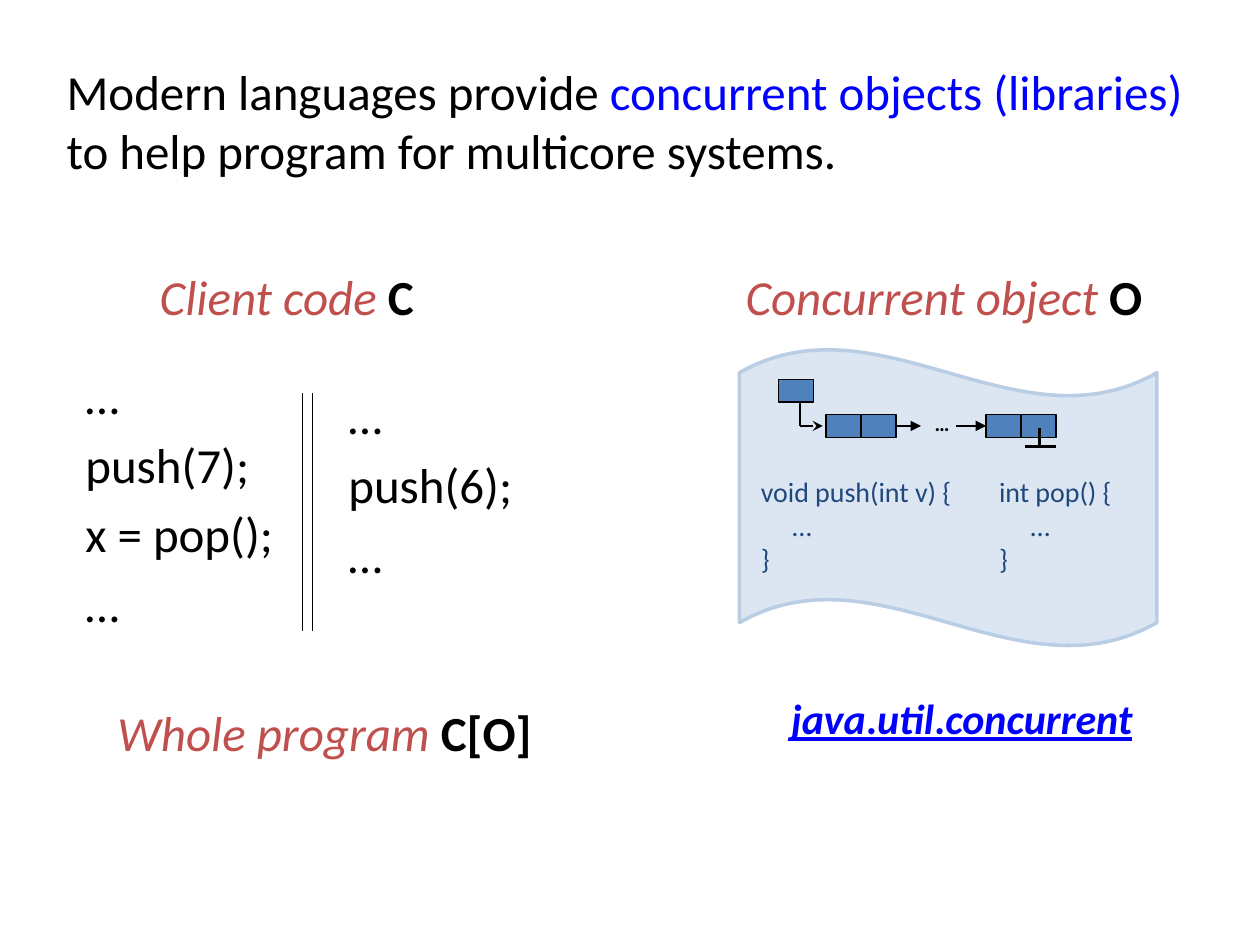
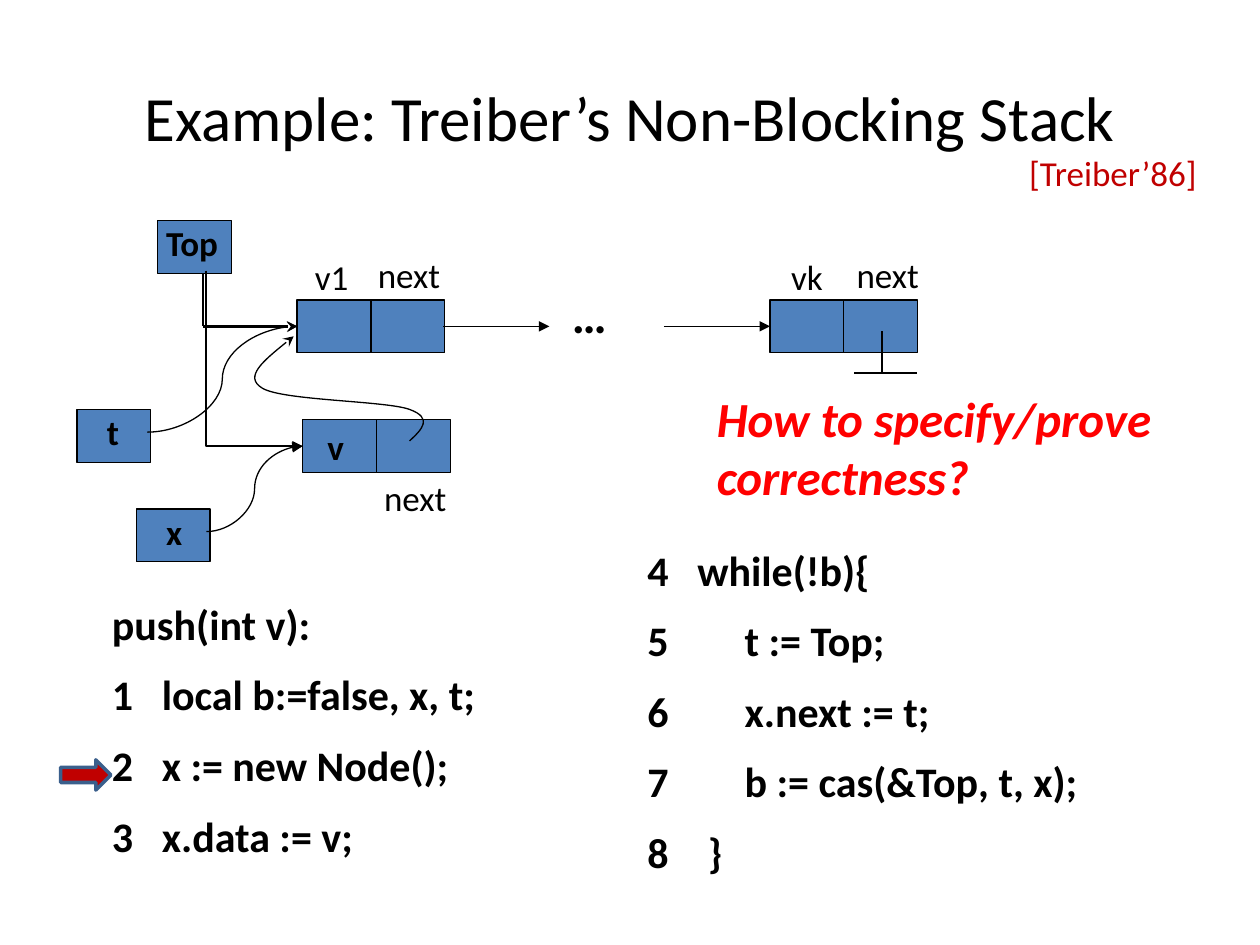
from pptx import Presentation
from pptx.dml.color import RGBColor
from pptx.enum.shapes import MSO_CONNECTOR as CONNECTOR, MSO_SHAPE as SHAPE
from pptx.enum.text import MSO_ANCHOR as ANCHOR, PP_ALIGN as ALIGN
from pptx.oxml.ns import qn
from pptx.util import Pt
from lxml.etree import SubElement

FONT = "Calibri"
BLACK, BLUE, LABEL_RED = "000000", "0000FF", "C0504D"
NODE_BLUE, CODE_BLUE = "4F81BD", "1F497D"
DARK_RED, BRIGHT_RED = "C00000", "FF0000"
WAVE_FILL, WAVE_LINE, ARROW_LINE = "DCE6F2", "B9CDE5", "3A5F8C"
rgb = RGBColor.from_string


def write(slide, box, texts, size, color=BLACK, bold=False, italic=False,
          space=0, margins=()):
    """Add a text box, one paragraph per text; a tab jumps to its margin."""
    frame = slide.shapes.add_textbox(*map(Pt, box)).text_frame
    frame.word_wrap = True
    for index, text in enumerate(texts):
        paragraph = frame.paragraphs[0] if index == 0 else frame.add_paragraph()
        paragraph.add_run().text = text
        paragraph.space_before = Pt(space)
        font = paragraph.font
        font.name, font.size = FONT, Pt(size)
        font.bold, font.italic = bold, italic
        font.color.rgb = rgb(color)
        if margins and margins[index]:
            properties = paragraph._p.get_or_add_pPr()
            margin = Pt(margins[index])
            properties.set("marL", str(margin))
            properties.set("indent", str(-margin if "\t" in text else 0))
    return frame


def style(shape, width=0.75, color=BLACK, fill=None, head=None):
    """Set fill, line and arrowhead of a shape or connector, without shadow."""
    if fill:
        shape.fill.solid()
        shape.fill.fore_color.rgb = rgb(fill)
    shape.line.color.rgb = rgb(color)
    shape.line.width = Pt(width)
    properties = shape._element.spPr
    if head:
        SubElement(properties.find(qn("a:ln")), qn("a:tailEnd"), type=head)
    SubElement(properties, qn("a:effectLst"))


presentation = Presentation()
presentation.slide_width, presentation.slide_height = Pt(720), Pt(540)
blank = presentation.slide_layouts[6]

# Slide 1: client code and concurrent object
slide = presentation.slides.add_slide(blank)
frame = write(slide, (31, 31.7, 675, 75),
              ["Modern languages provide ", "to help program for multicore systems."], 28)
run = frame.paragraphs[0].add_run()
run.text = "concurrent objects (libraries)"
run.font.color.rgb = rgb(BLUE)

for left, top, width, label, symbol in [
    (84.2, 149, 170, "Client code ", "C"),
    (419, 149, 260, "Concurrent object ", "O"),
    (60, 398, 260, "Whole program ", "C[O]"),
]:
    frame = write(slide, (left, top, width, 42), [label], 28, LABEL_RED, italic=True)
    run = frame.paragraphs[0].add_run()
    run.text = symbol
    run.font.bold, run.font.italic = True, False
    run.font.color.rgb = rgb(BLACK)

write(slide, (41.7, 205.2, 130, 161), ["…", "push(7);", "x = pop();", "…"], 28, space=6)
write(slide, (192, 216.7, 120, 121), ["…", "push(6);", "…"], 28, space=6)

wave = slide.shapes.add_shape(SHAPE.WAVE, Pt(422.6), Pt(199.4), Pt(238.5), Pt(170))
wave.adjustments[0] = 0.08
style(wave, 2, WAVE_LINE, WAVE_FILL)
for left, width, signature in [(427.7, 132, "void push(int v) {"),
                               (563.8, 90, "int pop() {")]:
    write(slide, (left, 267.8, width, 66), [signature, "…", "}"], 16, CODE_BLUE,
          margins=(0, 18, 0))

for left, top in [(445, 216.7), (472, 236.9), (492, 236.9), (563.5, 236.9), (583.5, 236.9)]:
    cell = slide.shapes.add_shape(SHAPE.RECTANGLE, Pt(left), Pt(top), Pt(20), Pt(13))
    style(cell, fill=NODE_BLUE)
write(slide, (527, 231.1, 20, 22), ["…"], 12, bold=True)

for ends, width, head in [
    ((172.8, 224.6, 172.8, 360.7), 0.75, None),
    ((178.6, 224.6, 178.6, 360.7), 0.75, None),
    ((512, 243.4, 526.3, 243.4), 0.75, "triangle"),
    ((546.5, 243.4, 563.5, 243.4), 0.75, "triangle"),
    ((594, 244.8, 594, 255), 1.5, None),
    ((586, 255, 603.4, 255), 1.5, None),
    ((457.2, 230.4, 457.2, 243.4), 1.5, None),
    ((457.2, 243.4, 470.2, 243.4), 1.5, "stealth"),
]:
    line = slide.shapes.add_connector(CONNECTOR.STRAIGHT, *map(Pt, ends))
    style(line, width, head=head)

frame = write(slide, (445, 392.4, 216, 36), ["java"], 24, BLUE, bold=True, italic=True)
paragraph = frame.paragraphs[0]
paragraph.font.underline = True
for part in ("util", "concurrent"):
    dot = paragraph.add_run()
    dot.text = "."
    dot.font.italic = False
    paragraph.add_run().text = part

# Slide 2: Treiber's stack
slide = presentation.slides.add_slide(blank)
frame = write(slide, (0, 21.6, 720, 90), ["Example: Treiber’s Non-Blocking Stack"], 36)
frame.vertical_anchor = ANCHOR.MIDDLE
frame.paragraphs[0].alignment = ALIGN.CENTER
write(slide, (581, 82.8, 120, 32), ["[Treiber’86]"], 20, DARK_RED)

for left, top in [(90, 126), (169.8, 171.4), (212, 171.4), (440, 171.4), (482.2, 171.4),
                  (173, 239.9), (215.2, 239.9), (44, 234), (77.8, 290.8)]:
    cell = slide.shapes.add_shape(SHAPE.RECTANGLE, Pt(left), Pt(top), Pt(42.2), Pt(30.2))
    style(cell, fill=NODE_BLUE)

for left, top, name, bold in [
    (87.8, 123.1, "Top", True), (54, 231.1, "t", True),
    (87.8, 288, "x", True), (180, 239.8, "v", True),
    (172.8, 142.6, "v1", False), (208.8, 141.1, "next", False),
    (445, 142.6, "vk", False), (482.4, 141.1, "next", False),
    (212.4, 268.6, "next", False),
]:
    write(slide, (left, top, 60, 31), [name], 20, bold=bold)
write(slide, (319.7, 159.1, 66, 41), ["…"], 28, bold=True)

for kind, ends, width, head in [
    (CONNECTOR.STRAIGHT, (253.4, 186.5, 313.9, 186.5), 0.75, "triangle"),
    (CONNECTOR.STRAIGHT, (379.4, 186.5, 440, 186.5), 0.75, "triangle"),
    (CONNECTOR.STRAIGHT, (504, 189.4, 504, 213.1), 1.5, None),
    (CONNECTOR.STRAIGHT, (488.2, 213.1, 524.2, 213.1), 1.5, None),
    (CONNECTOR.STRAIGHT, (116, 156.2, 116, 186.5), 1.5, None),
    (CONNECTOR.STRAIGHT, (116, 186.5, 169.9, 186.5), 1.5, "stealth"),
    (CONNECTOR.CURVE, (84.2, 247, 169.9, 186.5), 0.75, "stealth"),
    (CONNECTOR.CURVE, (118, 303.8, 173, 254.9), 0.75, "triangle"),
]:
    line = slide.shapes.add_connector(kind, *map(Pt, ends))
    style(line, width, head=head)

# One-bend connector: drawn lying down, then turned by 270 degrees
top_to_new = slide.shapes.add_connector(
    CONNECTOR.ELBOW, Pt(195.6), Pt(177.2), Pt(95.2), Pt(232.4))
style(top_to_new, 1.25, head="triangle")
properties = top_to_new._element.spPr
properties.find(qn("a:prstGeom")).set("prst", "bentConnector2")
properties.find(qn("a:xfrm")).set("rot", str(270 * 60000))

# Curve from the new node to the first one: each three points make one Bezier
controls = [(241, 245.5), (247.7, 239), (234, 234),
            (220.3, 229), (161.3, 229), (149.8, 221.8),
            (139, 215.3), (153.4, 203.8), (167.8, 192.2)]
builder = slide.shapes.build_freeform(Pt(234), Pt(252))
builder.add_line_segments([(Pt(x), Pt(y)) for x, y in controls], close=False)
next_curve = builder.convert_to_shape()
next_curve.fill.background()
style(next_curve, head="stealth")
outline = next_curve._element.spPr.find(".//" + qn("a:path"))
segments = outline.findall(qn("a:lnTo"))
for start in range(0, len(segments), 3):
    bezier = SubElement(outline, qn("a:cubicBezTo"))
    for segment in segments[start:start + 3]:
        bezier.append(segment[0])
        outline.remove(segment)

write(slide, (56.9, 338.4, 307, 167),
      ["push(int v):", "1\tlocal b:=false, x, t;", "2\tx := new Node();", "3\tx.data := v;"],
      24, bold=True, space=11.5, margins=(0, 28.5, 28.5, 28.5))
write(slide, (362.9, 307.4, 275, 211),
      ["4\twhile(!b){", "5\tt := Top;", "6\tx.next := t;", "7\tb := cas(&Top, t, x);", "8\t}"],
      24, bold=True, space=11.5, margins=(28.5, 55.5, 55.5, 55.5, 34.5))
write(slide, (402.5, 218.2, 289.4, 75), ["How to specify/prove correctness?"],
      28, BRIGHT_RED, bold=True, italic=True)

step = slide.shapes.add_shape(SHAPE.RIGHT_ARROW, Pt(34.6), Pt(434.2), Pt(28.8), Pt(17.3))
style(step, 2, ARROW_LINE, DARK_RED)

presentation.save("out.pptx")
